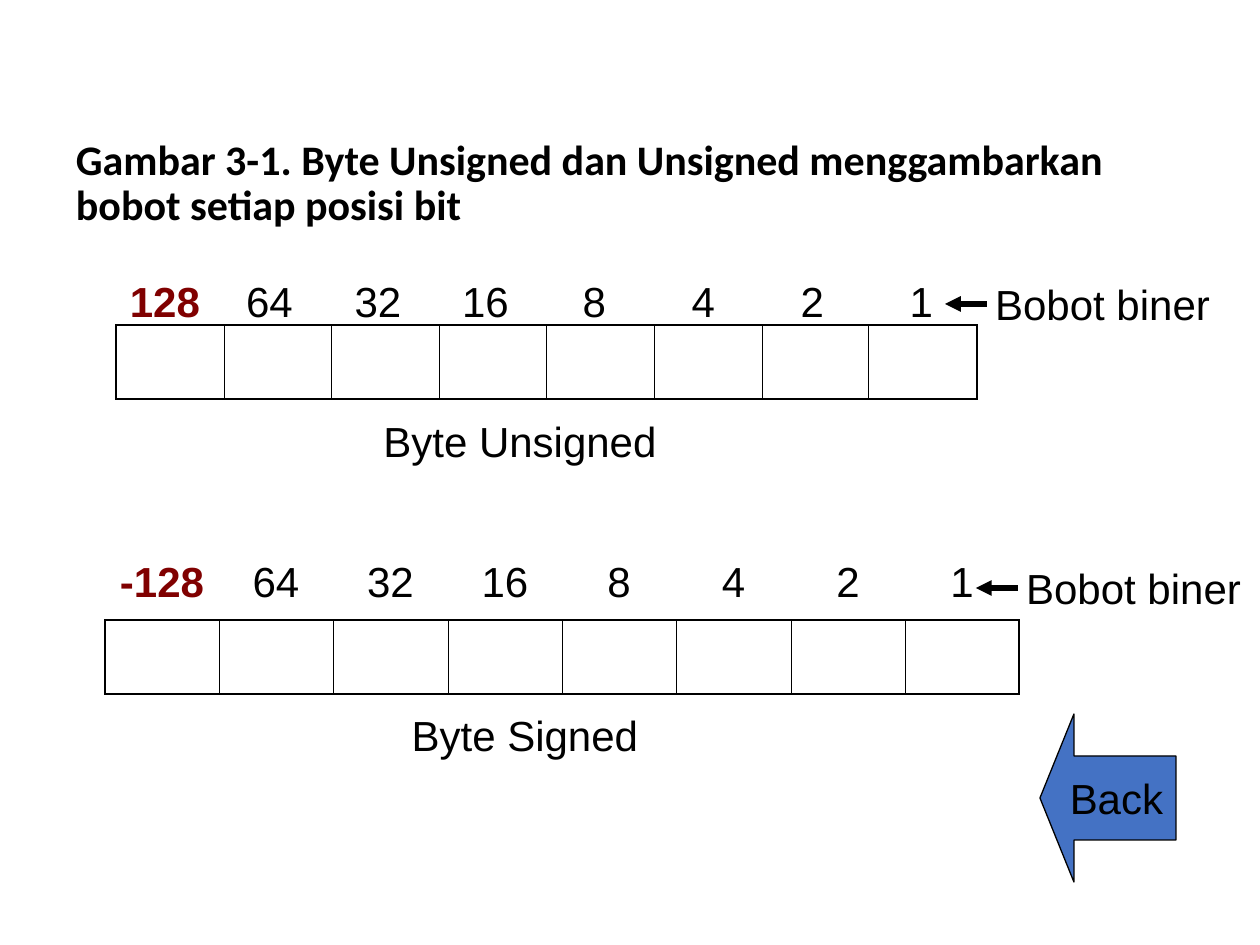
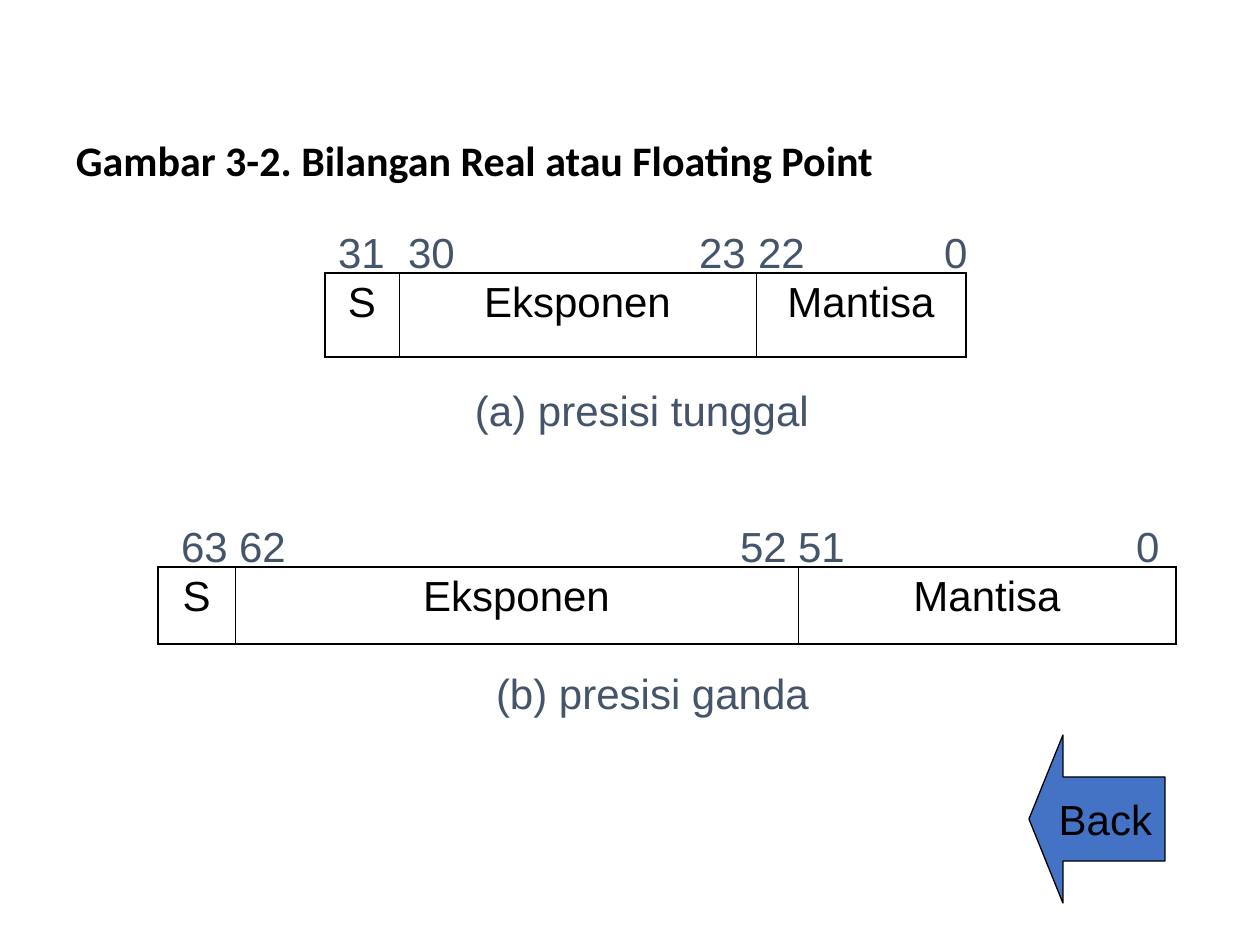
from dataclasses import dataclass
from typing import Optional

from lxml import etree
from pptx import Presentation
from pptx.dml.color import RGBColor
from pptx.enum.shapes import MSO_CONNECTOR, MSO_SHAPE
from pptx.enum.text import MSO_ANCHOR, PP_ALIGN
from pptx.oxml.ns import qn
from pptx.util import Emu, Pt

PX_PER_INCH = 126
EMU_PER_INCH = 914400
LEFT, CENTER = PP_ALIGN.LEFT, PP_ALIGN.CENTER
MIDDLE = MSO_ANCHOR.MIDDLE
STRAIGHT = MSO_CONNECTOR.STRAIGHT
LEFT_ARROW = MSO_SHAPE.LEFT_ARROW

BLACK = "000000"
SIGN_RED = "800000"
SLATE = "44546A"
BACK_BLUE = "4472C4"
OUTER_LINE, INNER_LINE = 1.08, 0.45
TEXT_SIZE = 24
BLANK_LAYOUT = 6


@dataclass(frozen=True)
class Box:
    left: int
    top: int
    width: int
    height: int


@dataclass(frozen=True)
class Style:
    color: str = BLACK
    font: str = "Arial"
    bold: bool = False
    align: PP_ALIGN = CENTER
    side_margin: int = 0


BODY = Style()
SIGN_BIT = Style(color=SIGN_RED, bold=True)
NOTE = Style(color=SLATE, align=LEFT, side_margin=13)
TITLE = Style(font="Calibri", bold=True, align=LEFT, side_margin=13)


@dataclass(frozen=True)
class ByteFigure:
    weights: list[str]
    weight_row: Box
    weight_columns: list[int]
    bit_row: Box
    pointer_start: tuple[int, int]
    caption: str
    caption_box: Box


@dataclass(frozen=True)
class RealFigure:
    """Bit numbers sit on tab stops, measured from the first number."""
    bits: list[str]
    bits_box: Box
    bit_stops: list[int]
    field_row: Box
    field_columns: list[int]
    caption: str
    caption_box: Box


def px(length: int) -> Emu:
    return Emu(round(length * EMU_PER_INCH / PX_PER_INCH))


def rgb(value: str) -> RGBColor:
    return RGBColor.from_string(value)


def place(box: Box) -> tuple[Emu, Emu, Emu, Emu]:
    return px(box.left), px(box.top), px(box.width), px(box.height)


def even_columns(width: int, count: int) -> list[int]:
    """Split width into whole pixels whose sum is exactly width."""
    edges = [round(i * width / count) for i in range(count + 1)]
    return [right - left for left, right in zip(edges, edges[1:])]


def write(frame, text: str, style: Style):
    paragraph = frame.paragraphs[0]
    paragraph.alignment = style.align
    run = paragraph.add_run()
    run.text = text
    run.font.name = style.font
    run.font.size = Pt(TEXT_SIZE)
    run.font.bold = style.bold
    run.font.color.rgb = rgb(style.color)
    return paragraph


def write_in_middle(frame, text: str, style: Style):
    """Write text that is centred vertically in its shape."""
    frame.word_wrap = True
    frame.vertical_anchor = MIDDLE
    frame.margin_left = frame.margin_right = px(style.side_margin)
    return write(frame, text, style)


def add_text(slide, box: Box, text: str, style: Style = BODY):
    frame = slide.shapes.add_textbox(*place(box)).text_frame
    return write_in_middle(frame, text, style)


def add_title(slide, top: int, text: str) -> None:
    add_text(slide, Box(63, top, 1134, 158), text, TITLE).line_spacing = 0.9


def set_tab_stops(paragraph, stops: list[int]) -> None:
    properties = paragraph._p.get_or_add_pPr()
    tab_list = etree.SubElement(properties, qn("a:tabLst"))
    for stop in stops:
        etree.SubElement(tab_list, qn("a:tab"), pos=str(px(stop)), algn="l")


def set_borders(cell, widths: dict[str, Optional[float]]) -> None:
    """Draw black cell edges; a width of None hides the edge."""
    properties = cell._tc.get_or_add_tcPr()
    for edge in ("L", "R", "T", "B"):
        width = widths[edge]
        line = etree.SubElement(properties, qn(f"a:ln{edge}"))
        if width is None:
            etree.SubElement(line, qn("a:noFill"))
            continue
        line.set("w", str(Pt(width)))
        fill = etree.SubElement(line, qn("a:solidFill"))
        etree.SubElement(fill, qn("a:srgbClr"), val=BLACK)


def add_row(slide, box: Box, columns: list[int], texts: list[str],
            first_style: Style = BODY, framed: bool = True) -> None:
    """Add a table of one row; empty texts give empty cells."""
    table = slide.shapes.add_table(1, len(columns), *place(box)).table
    table.first_row = table.horz_banding = False
    table.rows[0].height = px(box.height)
    last = len(columns) - 1
    for i, (width, text) in enumerate(zip(columns, texts)):
        table.columns[i].width = px(width)
        cell = table.cell(0, i)
        edges = {
            "L": OUTER_LINE if i == 0 else INNER_LINE,
            "R": OUTER_LINE if i == last else INNER_LINE,
            "T": OUTER_LINE,
            "B": OUTER_LINE,
        }
        set_borders(cell, edges if framed else dict.fromkeys(edges))
        cell.fill.background()
        if text:
            style = first_style if i == 0 else BODY
            write(cell.text_frame, text, style).space_before = Pt(6)


def add_pointer(slide, start: tuple[int, int]) -> None:
    """Label the weights, with an arrow from the label back to them."""
    x, y = start
    add_text(slide, Box(x, y - 42, 231, 84), "Bobot biner")
    arrow = slide.shapes.add_connector(STRAIGHT, px(x), px(y), px(x - 42), px(y))
    arrow.line.color.rgb = rgb(BLACK)
    arrow.line.width = Pt(3)
    etree.SubElement(arrow.line._get_or_add_ln(), qn("a:tailEnd"), type="triangle")
    etree.SubElement(arrow._element.spPr, qn("a:effectLst"))


def add_back_button(slide, left: int, top: int) -> None:
    button = slide.shapes.add_shape(LEFT_ARROW, *place(Box(left, top, 136, 168)))
    button.adjustments[1] = 0.25
    button.shadow.inherit = False
    button.fill.solid()
    button.fill.fore_color.rgb = rgb(BACK_BLUE)
    button.line.color.rgb = rgb(BLACK)
    button.line.width = Pt(0.75)
    write_in_middle(button.text_frame, "Back", BODY)


def add_byte_figure(slide, figure: ByteFigure) -> None:
    count = len(figure.weights)
    add_row(slide, figure.weight_row, figure.weight_columns, figure.weights,
            first_style=SIGN_BIT, framed=False)
    add_row(slide, figure.bit_row, even_columns(figure.bit_row.width, count), [""] * count)
    add_pointer(slide, figure.pointer_start)
    add_text(slide, figure.caption_box, figure.caption)


def add_real_figure(slide, figure: RealFigure) -> None:
    add_row(slide, figure.field_row, figure.field_columns, ["S", "Eksponen", "Mantisa"])
    numbers = add_text(slide, figure.bits_box, "\t".join(figure.bits), NOTE)
    set_tab_stops(numbers, figure.bit_stops)
    add_text(slide, figure.caption_box, figure.caption, NOTE)


LOW_WEIGHTS = [str(2 ** bit) for bit in range(6, -1, -1)]

BYTE_FIGURES = [
    ByteFigure(["128", *LOW_WEIGHTS], Box(116, 273, 860, 63), [98, 111, 106] + [109] * 5,
               Box(116, 325, 861, 74), (987, 304), "Byte Unsigned", Box(378, 399, 284, 84)),
    ByteFigure(["-128", *LOW_WEIGHTS], Box(105, 553, 914, 77), even_columns(914, 8),
               Box(105, 620, 914, 74), (1018, 588), "Byte Signed", Box(404, 693, 242, 84)),
]

REAL_FIGURES = [
    RealFigure(["31", "30", "23", "22", "0"], Box(325, 220, 672, 63), [70, 361, 420, 606],
               Box(325, 273, 641, 84), [74, 357, 210],
               "(a) presisi tunggal", Box(462, 378, 399, 63)),
    RealFigure(["63", "62", "52", "51", "0"], Box(168, 514, 1040, 63), [58, 559, 617, 955],
               Box(158, 567, 1018, 77), [77, 563, 378],
               "(b) presisi ganda", Box(483, 661, 399, 63)),
]


def main() -> None:
    deck = Presentation()
    deck.slide_width, deck.slide_height = px(1260), px(945)
    blank = deck.slide_layouts[BLANK_LAYOUT]

    byte_slide = deck.slides.add_slide(blank)
    add_title(byte_slide, 105, "Gambar 3-1. Byte Unsigned dan Unsigned menggambarkan "
                               "bobot setiap posisi bit")
    for figure in BYTE_FIGURES:
        add_byte_figure(byte_slide, figure)
    add_back_button(byte_slide, 1040, 714)

    real_slide = deck.slides.add_slide(blank)
    add_title(real_slide, 84, "Gambar 3-2. Bilangan Real atau Floating Point")
    for figure in REAL_FIGURES:
        add_real_figure(real_slide, figure)
    add_back_button(real_slide, 1029, 735)

    deck.save("out.pptx")


if __name__ == "__main__":
    main()
